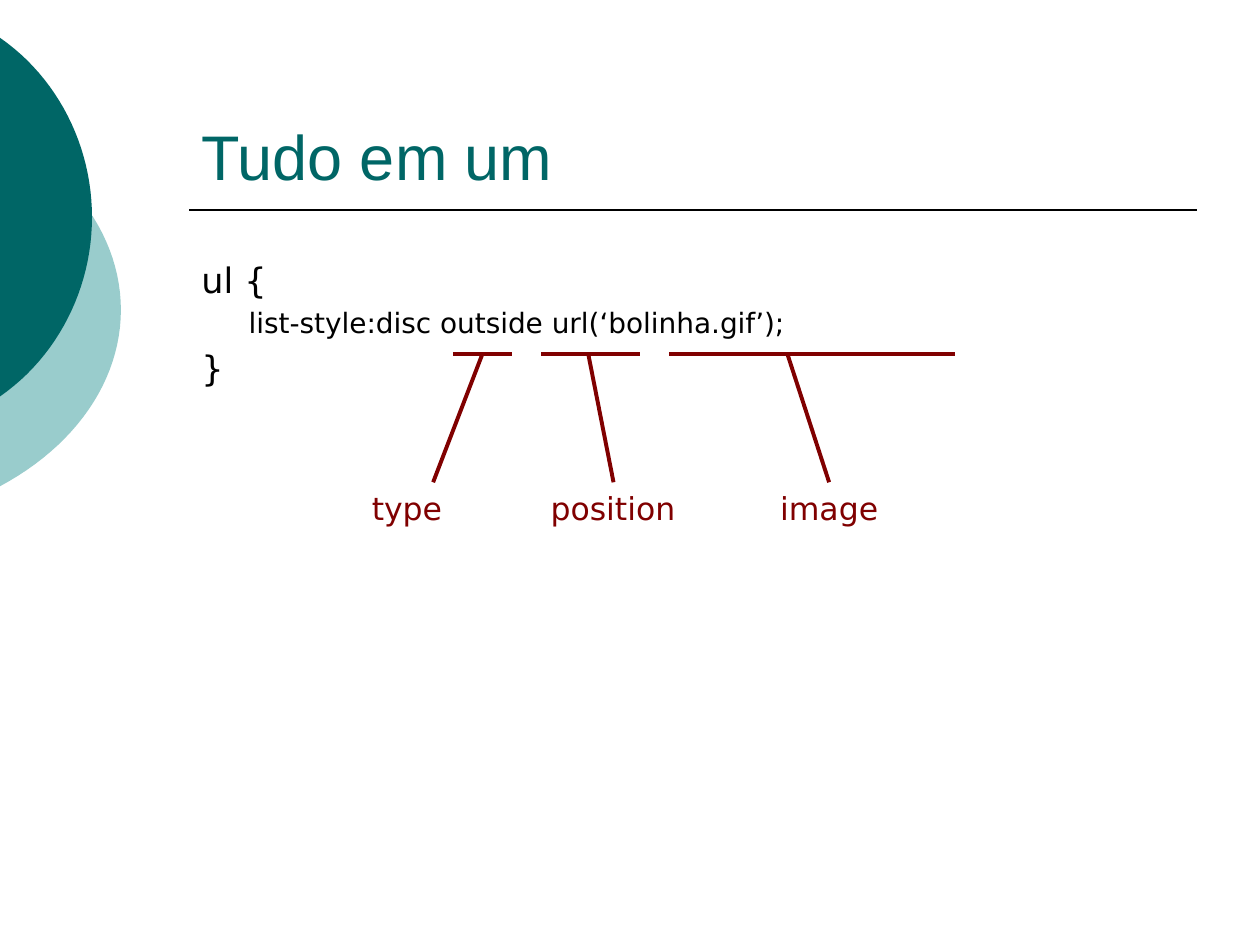
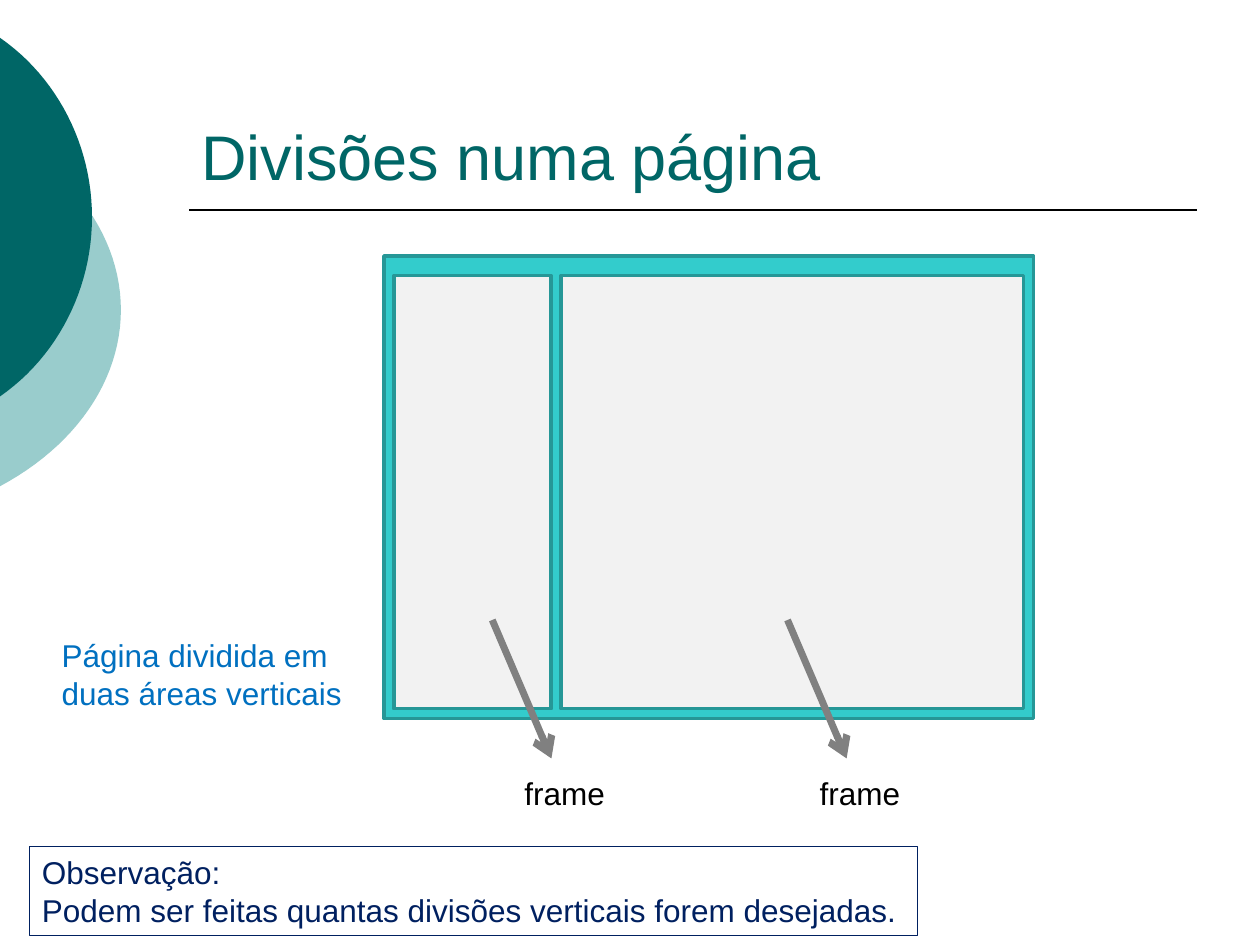
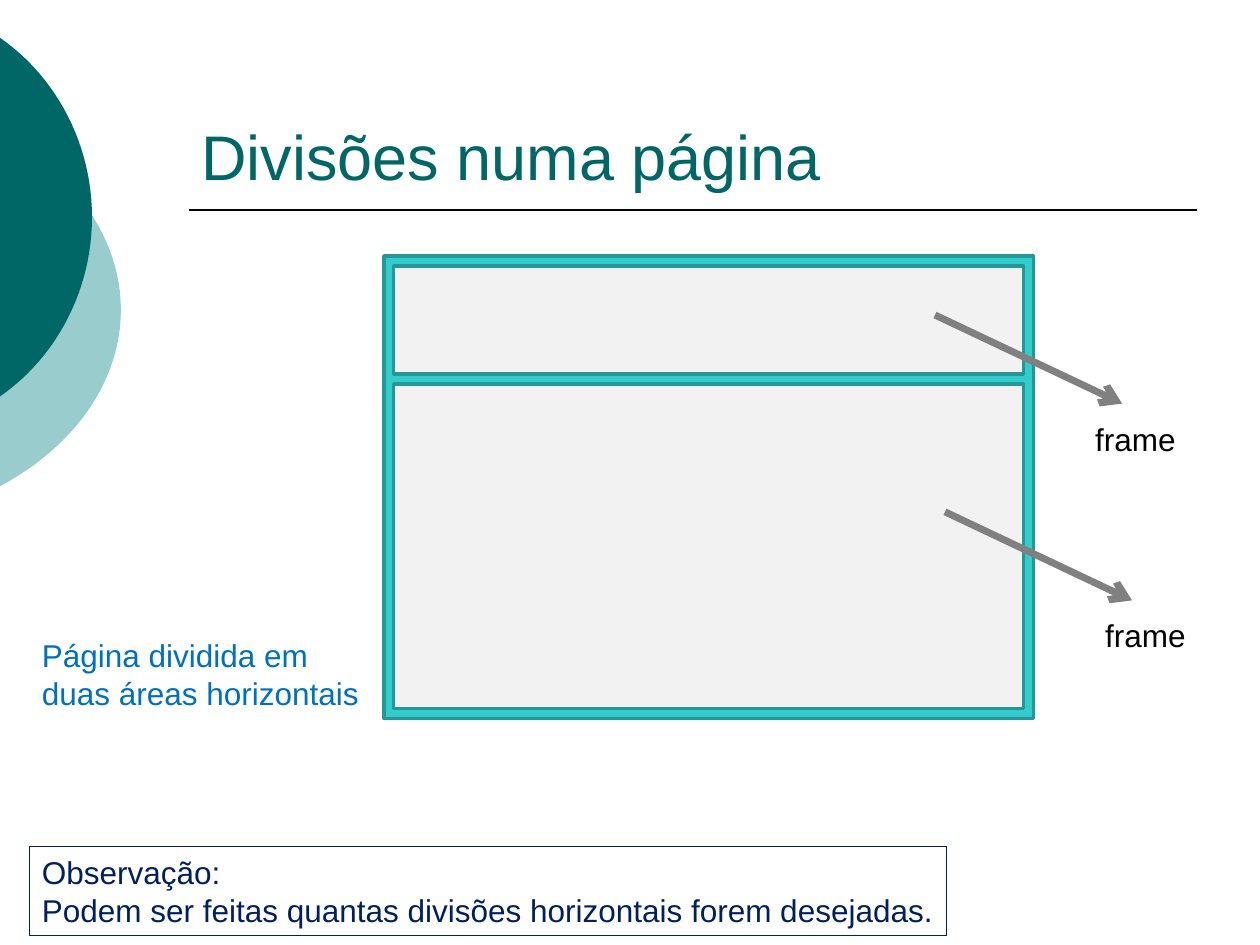
from dataclasses import dataclass

from lxml import etree
from pptx import Presentation
from pptx import util as u
from pptx.dml import color as dml
from pptx.enum import shapes, text
from pptx.oxml import ns

TEAL, PALE_TEAL, MAROON = "006666", "99CCCC", "800000"
CYAN, DARK_CYAN, LIGHT_GRAY, GRAY = "33CCCC", "269797", "F2F2F2", "808080"
BLACK, BLUE, NAVY = "000000", "0070C0", "002060"
SANS, CODE = "Arial", "DejaVu Sans"
CURVE_STEPS = 24


@dataclass(frozen=True)
class Area:
    left: float
    top: float
    width: float
    height: float

    def lengths(self) -> list:
        return [u.Pt(n) for n in (self.left, self.top, self.width, self.height)]


@dataclass(frozen=True)
class Line:
    content: str
    size: float = 18
    indent: float = 0


@dataclass(frozen=True)
class Disc:
    """Part of a disc that enters from the left edge of the page."""
    color: str
    middle: float
    half_height: float
    reach: float
    shoulder: tuple[float, float]
    pull: float


@dataclass(frozen=True)
class Term:
    """A named part of the code: its underline, pointer and label."""
    name: str
    underline: tuple[float, float]
    pointer: tuple[float, float]
    label: Area


@dataclass(frozen=True)
class FrameExample:
    caption: str
    caption_area: Area
    panels: tuple[Area, Area]
    arrow_starts: tuple[tuple[float, float], ...]
    arrow_step: tuple[float, float]
    note: str
    note_width: float


DISCS = (
    Disc(PALE_TEAL, 177.1, 100.8, 69.1, (43.2, 77.7), 40.3),
    Disc(TEAL, 124.1, 102.5, 52.6, (33.1, 79.5), 40.7),
)

UNDERLINE_Y, POINTER_END_Y = 202.5, 275.6
TERMS = (
    Term("type", (258.75, 292.5), (275.6, 247.5), Area(205.4, 276, 54.7, 28.8)),
    Term("position", (309.4, 365.6), (336.2, 350.6), Area(307.6, 276, 86.4, 28.8)),
    Term("image", (382.5, 545.6), (450, 473.8), Area(438.7, 276, 70.6, 28.8)),
)

WINDOW = Area(219.4, 146.25, 371.25, 264.4)
PANEL_LEFT, PANEL_RIGHT, PANEL_BOTTOM, GAP = 225, 585, 405, 5.6


def side_by_side(top: float, first_width: float) -> tuple[Area, Area]:
    height = PANEL_BOTTOM - top
    second = PANEL_LEFT + first_width + GAP
    return (Area(PANEL_LEFT, top, first_width, height),
            Area(second, top, PANEL_RIGHT - second, height))


def stacked(top: float, first_height: float) -> tuple[Area, Area]:
    width = PANEL_RIGHT - PANEL_LEFT
    second = top + first_height + GAP
    return (Area(PANEL_LEFT, top, width, first_height),
            Area(PANEL_LEFT, second, width, PANEL_BOTTOM - second))


FRAME_EXAMPLES = (
    FrameExample("duas áreas verticais", Area(28.1, 360, 176.4, 50.9),
                 side_by_side(157.5, 90), ((281.3, 354.3), (450, 354.3)),
                 (33.8, 79.1), "verticais", 507.6),
    FrameExample("duas áreas horizontais", Area(16.9, 360, 197.3, 50.9),
                 stacked(151.9, 61.9), ((534.3, 180), (540, 292.5)),
                 (106.9, 50.6), "horizontais", 524),
)


def rgb(value: str) -> dml.RGBColor:
    return dml.RGBColor.from_string(value)


def paint(shape, fill: str, line: str | None = None, width: float = 1) -> None:
    shape.shadow.inherit = False
    shape.fill.solid()
    shape.fill.fore_color.rgb = rgb(fill)
    if line:
        shape.line.color.rgb = rgb(line)
        shape.line.width = u.Pt(width)
    else:
        shape.line.fill.background()


def write(page, *lines: Line, area: Area, color: str = BLACK, font: str = SANS,
          wrap: bool = False, bottom: bool = False, spacing: float = 0):
    """Add a text box; spacing is the space before a line, as a share of its size."""
    box = page.shapes.add_textbox(*area.lengths())
    frame = box.text_frame
    frame.word_wrap = wrap
    frame.auto_size = (text.MSO_AUTO_SIZE.NONE if wrap
                       else text.MSO_AUTO_SIZE.SHAPE_TO_FIT_TEXT)
    frame.vertical_anchor = text.MSO_ANCHOR.BOTTOM if bottom else text.MSO_ANCHOR.TOP
    for number, line in enumerate(lines):
        para = frame.add_paragraph() if number else frame.paragraphs[0]
        para.space_before = u.Pt(line.size * spacing)
        if line.indent:
            para._p.get_or_add_pPr().set("marL", str(u.Pt(line.indent)))
        span = para.add_run()
        span.text = line.content
        span.font.name = font
        span.font.size = u.Pt(line.size)
        span.font.color.rgb = rgb(color)
    return box


def connect(page, start: tuple[float, float], end: tuple[float, float],
            color: str, width: float, arrow: bool = False) -> None:
    connector = page.shapes.add_connector(
        shapes.MSO_CONNECTOR.STRAIGHT, *(u.Pt(n) for n in (*start, *end)))
    connector.line.color.rgb = rgb(color)
    connector.line.width = u.Pt(width)
    properties = connector.element.spPr
    if arrow:
        outline = properties.find(ns.qn("a:ln"))
        etree.SubElement(outline, ns.qn("a:tailEnd"), type="arrow")
    etree.SubElement(properties, ns.qn("a:effectLst"))


def add_rectangle(page, area: Area, fill: str) -> None:
    rectangle = page.shapes.add_shape(shapes.MSO_SHAPE.RECTANGLE, *area.lengths())
    paint(rectangle, fill, DARK_CYAN, 2)


def add_disc(page, disc: Disc) -> None:
    """Trace the upper half as a Bézier curve and mirror it for the lower half."""
    shoulder_x, shoulder_y = disc.shoulder
    upper = []
    for step in range(CURVE_STEPS + 1):
        t = step / CURVE_STEPS
        s = 1 - t
        x = 3 * s * s * t * shoulder_x + (3 * s * t * t + t ** 3) * disc.reach
        rise = (s ** 3 * disc.half_height + 3 * s * s * t * shoulder_y
                + 3 * s * t * t * disc.pull)
        upper.append((x, rise))
    lower = [(x, -rise) for x, rise in reversed(upper[:-1])]
    points = [(u.Pt(x), u.Pt(disc.middle - rise)) for x, rise in upper + lower]
    builder = page.shapes.build_freeform(*points[0])
    builder.add_line_segments(points[1:], close=True)
    paint(builder.convert_to_shape(), disc.color)


def add_page(deck, title: str):
    page = deck.slides.add_slide(deck.slide_layouts[6])
    for disc in DISCS:
        add_disc(page, disc)
    connect(page, (108, 120), (684, 120), BLACK, 1)
    write(page, Line(title, 36), area=Area(108, 24, 576, 90), color=TEAL,
          wrap=True, bottom=True)
    return page


def add_list_style_page(deck) -> None:
    page = add_page(deck, "Tudo em um")
    write(page, Line("ul {", 20),
          Line("list-style:disc outside url(‘bolinha.gif’);", 16, indent=27),
          Line("}", 20),
          area=Area(108, 144, 576, 324), font=CODE, wrap=True, spacing=0.2)
    for term in TERMS:
        left, right = term.underline
        start, end = term.pointer
        connect(page, (start, UNDERLINE_Y), (end, POINTER_END_Y), MAROON, 2.25)
        connect(page, (left, UNDERLINE_Y), (right, UNDERLINE_Y), MAROON, 2.25)
        write(page, Line(term.name), area=term.label, color=MAROON, font=CODE)


def add_frames_page(deck, example: FrameExample) -> None:
    page = add_page(deck, "Divisões numa página")
    add_rectangle(page, WINDOW, CYAN)
    for panel in example.panels:
        add_rectangle(page, panel, LIGHT_GRAY)
    write(page, Line("Página dividida em"), Line(example.caption),
          area=example.caption_area, color=BLUE)
    step_x, step_y = example.arrow_step
    for x, y in example.arrow_starts:
        tip_x, tip_y = x + step_x, y + step_y
        connect(page, (x, y), (tip_x, tip_y), GRAY, 4, arrow=True)
        write(page, Line("frame"), area=Area(tip_x - 22.5, tip_y + 5.6, 61.2, 28.8))
    note = write(page, Line("Observação:"),
                 Line(f"Podem ser feitas quantas divisões {example.note} forem desejadas."),
                 area=Area(16.9, 483.8, example.note_width, 50.9), color=NAVY)
    note.line.color.rgb = rgb(NAVY)
    note.line.width = u.Pt(0.75)


def main() -> None:
    deck = Presentation()
    deck.slide_width, deck.slide_height = u.Pt(720), u.Pt(540)
    add_list_style_page(deck)
    for example in FRAME_EXAMPLES:
        add_frames_page(deck, example)
    deck.save("out.pptx")


if __name__ == "__main__":
    main()
